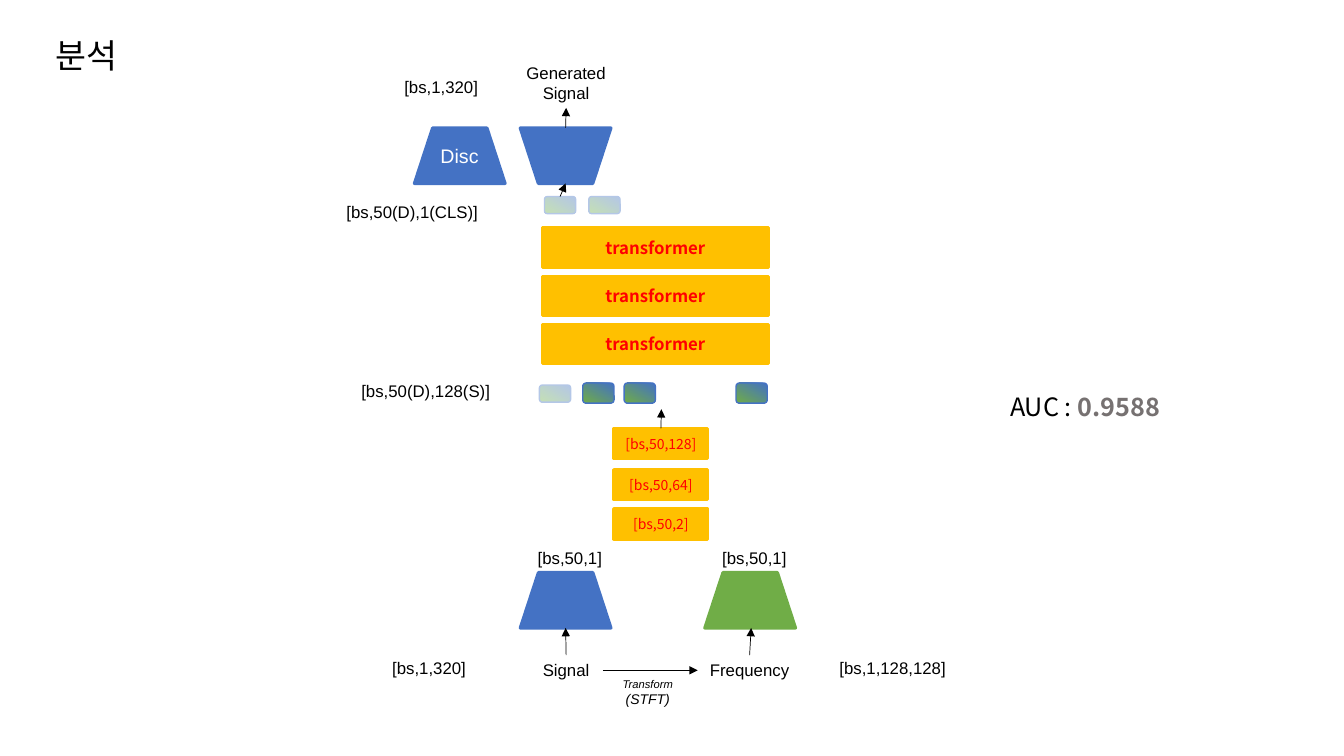
import pptx
import pptx.dml.color
import pptx.enum.shapes
import pptx.enum.text
import pptx.oxml.ns
import pptx.util

PX = 9144
SANS = "Noto Sans CJK KR"
COLORS = {
    "black": "000000", "white": "FFFFFF", "red": "FF0000", "gray": "767171",
    "blue": "4472C4", "green": "70AD47", "amber": "FFC000",
    "pale_blue": "B4C7E7", "pale_green": "C5E0B4",
}
SHAPES = pptx.enum.shapes.MSO_SHAPE
ALIGN = pptx.enum.text.PP_ALIGN
ANCHOR = pptx.enum.text.MSO_ANCHOR

presentation = pptx.Presentation()
presentation.slide_width = 1333 * PX
presentation.slide_height = 750 * PX
slide = presentation.slides.add_slide(presentation.slide_layouts[6])


def rgb(name):
    return pptx.dml.color.RGBColor.from_string(COLORS[name])


def style_text(shape, text, size, font="Arial", color="black", align=ALIGN.CENTER, bold=False):
    frame = shape.text_frame
    frame.word_wrap = True
    frame.text = text
    for paragraph in frame.paragraphs:
        paragraph.alignment = align
        for run in paragraph.runs:
            run.font.size = pptx.util.Pt(size)
            run.font.name = font
            run.font.bold = bold
            run.font.color.rgb = rgb(color)
            east_asian = run.font._element.makeelement(pptx.oxml.ns.qn("a:ea"), {"typeface": font})
            run.font._element.find(pptx.oxml.ns.qn("a:latin")).addnext(east_asian)
    return frame


title = slide.shapes.add_textbox(45 * PX, 0, 411 * PX, 114 * PX)
title_frame = style_text(title, "분석", 24, SANS, align=ALIGN.LEFT)
title_frame.vertical_anchor = ANCHOR.MIDDLE
title_frame.paragraphs[0].line_spacing = 0.9

for left, top, rotation, color in [
    (516, 568, 180, "blue"),
    (699, 568, 180, "green"),
    (516, 127, 0, "blue"),
    (411, 127, 180, "blue"),
]:
    network = slide.shapes.add_shape(
        SHAPES.FLOWCHART_MANUAL_OPERATION, left * PX, top * PX, 90 * PX, 55 * PX)
    network.rotation = rotation
    network.shadow.inherit = False
    network.fill.solid()
    network.fill.fore_color.rgb = rgb(color)
    network.line.color.rgb = rgb(color)
    network.line.width = pptx.util.Pt(2.25)

layers = [(538, 226 + 48 * row, 224, 39, "transformer", 12, True) for row in range(3)]
layers += [(609, top, 93, 30, text, 10, False) for top, text in [
    (505, "[bs,50,2]"), (466, "[bs,50,64]"), (425, "[bs,50,128]")]]
for left, top, width, height, text, size, bold in layers:
    layer = slide.shapes.add_shape(SHAPES.RECTANGLE, left * PX, top * PX, width * PX, height * PX)
    layer.shadow.inherit = False
    layer.fill.solid()
    layer.fill.fore_color.rgb = rgb("amber")
    layer.line.color.rgb = rgb("amber")
    layer.line.width = pptx.util.Pt(2.25)
    style_text(layer, text, size, SANS, "red", bold=bold).vertical_anchor = ANCHOR.MIDDLE
top_embedding = layer

pale = ("pale_blue", "pale_green")
strong = ("blue", "green")
tokens = []
for left, top, height, pair in [
    (540, 195, 17, pale), (584, 195, 17, pale), (535, 382, 17, pale),
    (578, 380, 20, strong), (619, 380, 20, strong), (730, 380, 20, strong),
]:
    token = slide.shapes.add_shape(
        SHAPES.ROUNDED_RECTANGLE, left * PX, top * PX, 31 * PX, height * PX)
    token.shadow.inherit = False
    token.fill.gradient()
    token.fill.gradient_angle = 240
    for stop, color in zip(token.fill.gradient_stops, pair):
        stop.color.rgb = rgb(color)
    token.line.color.rgb = rgb(pair[0])
    token.line.width = pptx.util.Pt(1)
    tokens.append(token)

labels = {}
for left, top, width, height, text, size, color, align in [
    (510, 57, 103, 50, "Generated\nSignal", 12, "black", ALIGN.CENTER),
    (525, 650, 73, 30, "Signal", 12, "black", ALIGN.CENTER),
    (692, 650, 103, 30, "Frequency", 12, "black", ALIGN.CENTER),
    (606, 667, 73, 40, "Transform\n(STFT)", 10, "black", ALIGN.CENTER),
    (427, 138, 82, 34, "Disc", 14, "white", ALIGN.LEFT),
    (332, 71, 152, 30, "[bs,1,320]", 12, "black", ALIGN.RIGHT),
    (332, 195, 152, 30, "[bs,50(D),1(CLS)]", 12, "black", ALIGN.RIGHT),
    (344, 373, 152, 30, "[bs,50(D),128(S)]", 12, "black", ALIGN.RIGHT),
    (509, 538, 98, 30, "[bs,50,1]", 12, "black", ALIGN.RIGHT),
    (692, 538, 98, 30, "[bs,50,1]", 12, "black", ALIGN.RIGHT),
    (374, 648, 98, 30, "[bs,1,320]", 12, "black", ALIGN.RIGHT),
    (820, 648, 128, 30, "[bs,1,128,128]", 12, "black", ALIGN.RIGHT),
]:
    label = slide.shapes.add_textbox(left * PX, top * PX, width * PX, height * PX)
    style_text(label, text, size, color=color, align=align)
    labels[text] = label

transform, stft = labels["Transform\n(STFT)"].text_frame.paragraphs
transform.runs[0].font.size = pptx.util.Pt(8)
for paragraph in (transform, stft):
    paragraph.runs[0].font.italic = True

score = slide.shapes.add_textbox(992 * PX, 383 * PX, 276 * PX, 40 * PX)
score.text_frame.text = "AUC : "
score_paragraph = score.text_frame.paragraphs[0]
score_paragraph.add_run().text = "0.9588"
for run, color, bold in zip(score_paragraph.runs, ("black", "gray"), (False, True)):
    run.font.size = pptx.util.Pt(18)
    run.font.name = SANS
    run.font.bold = bold
    run.font.color.rgb = rgb(color)

signal = labels["Signal"]
frequency = labels["Frequency"]
generated = labels["Generated\nSignal"]
for start, end, source, source_side, target, target_side in [
    ((561, 650), (561, 623), signal, 0, None, None),
    ((745, 650), (745, 623), frequency, 0, None, None),
    ((598, 665), (692, 665), signal, 3, frequency, 1),
    ((656, 425), (656, 406), top_embedding, 0, None, None),
    ((556, 195), (561, 182), tokens[0], 0, None, None),
    ((561, 127), (561, 107), None, None, generated, 2),
]:
    arrow = slide.shapes.add_connector(
        pptx.enum.shapes.MSO_CONNECTOR.STRAIGHT,
        start[0] * PX, start[1] * PX, end[0] * PX, end[1] * PX)
    if source is not None:
        arrow.begin_connect(source, source_side)
    if target is not None:
        arrow.end_connect(target, target_side)
    arrow.line.color.rgb = rgb("black")
    arrow.line.width = pptx.util.Pt(0.5)
    line = arrow.line._get_or_add_ln()
    line.append(line.makeelement(pptx.oxml.ns.qn("a:tailEnd"), {"type": "triangle"}))
    properties = arrow._element.spPr
    properties.append(properties.makeelement(pptx.oxml.ns.qn("a:effectLst"), {}))

presentation.save("out.pptx")
